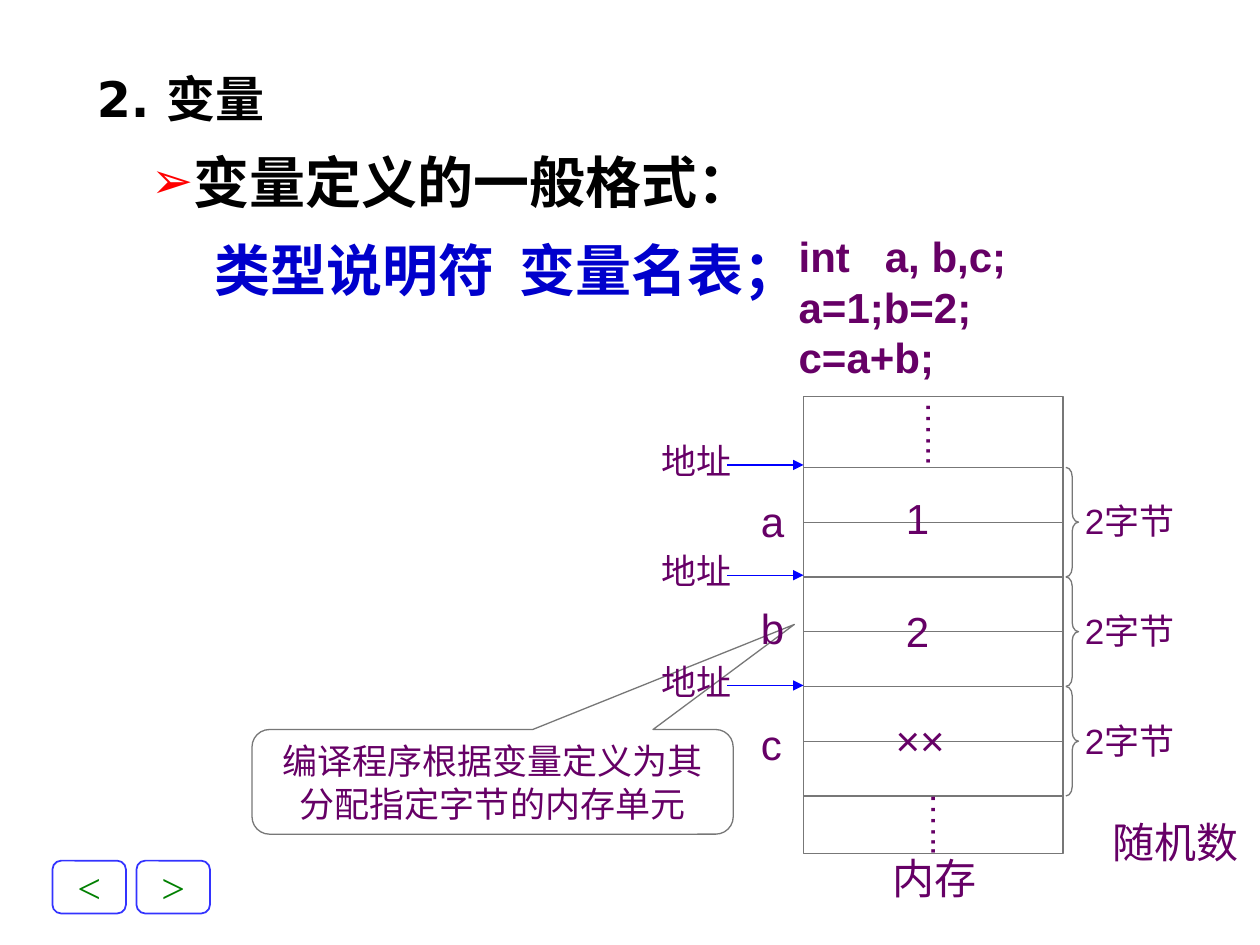
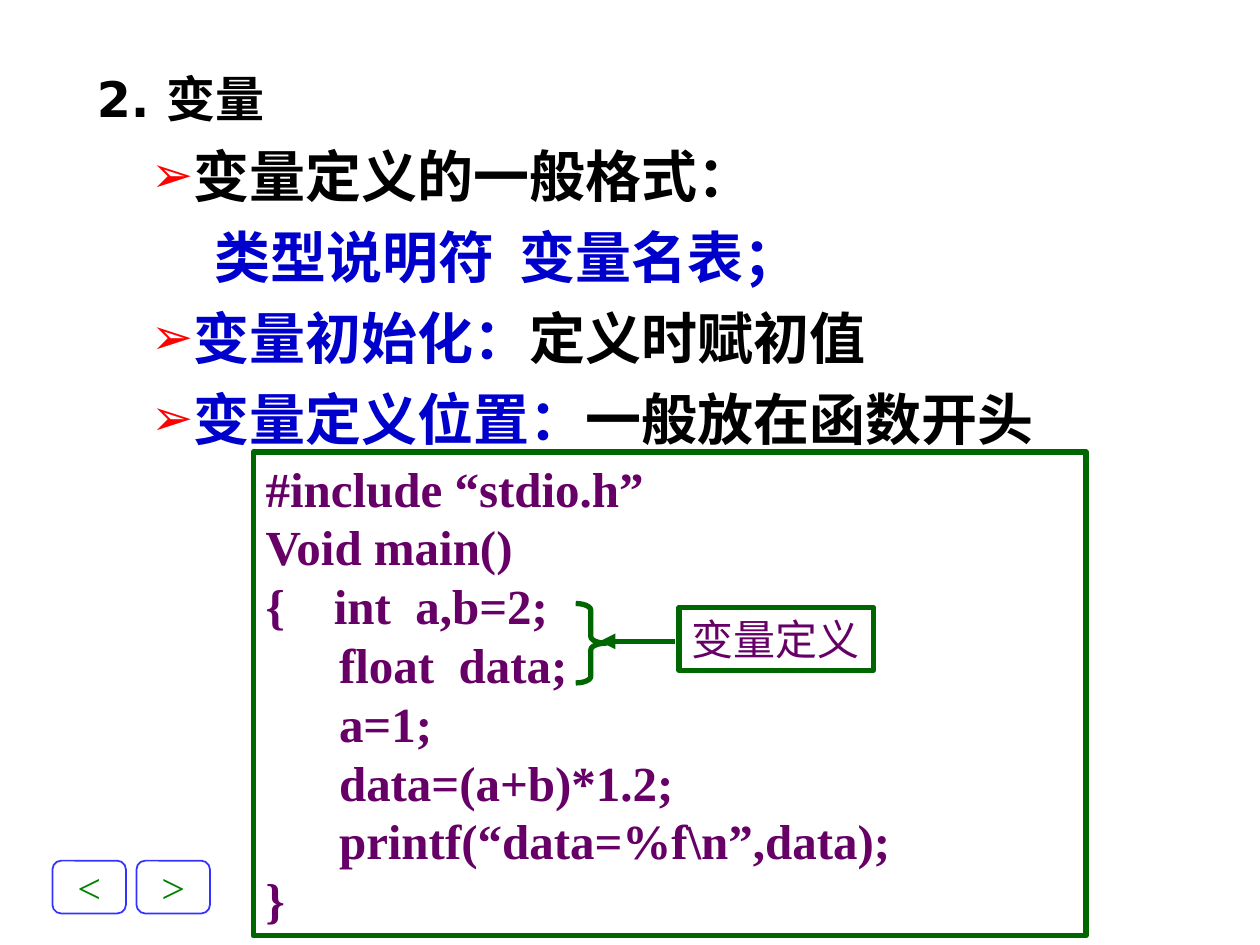
"""Build two slides on variable definitions in C."""
from lxml import etree
from pptx import Presentation
from pptx.dml.color import RGBColor
from pptx.enum import shapes, text
from pptx.oxml import ns
from pptx.util import Pt

HUES = {"ink": "000000", "blue": "0000CC", "red": "FF0000", "plum": "660066", "gray": "777777",
        "arrow": "0000FF", "edge": "3333FF", "sign": "008000", "green": "006600", "white": "FFFFFF"}
RGB = {name: RGBColor.from_string(code) for name, code in HUES.items()}
FORM = shapes.MSO_SHAPE
LEFT, MID = text.PP_ALIGN.LEFT, text.PP_ALIGN.CENTER


def box(page, kind, at, words=(), size=24, face="Arial", hue="plum", bold=False, align=LEFT,
        fill=None, edge=None, width=0.75, wrap=False, grow=True, lead=None, adj=()):
    spot = [Pt(n) for n in at]
    if kind is None:
        item = page.shapes.add_textbox(*spot)
    else:
        item = page.shapes.add_shape(kind, *spot)
        item.shadow.inherit = False
        for i, value in enumerate(adj):
            item.adjustments[i] = value
        if fill:
            item.fill.solid()
            item.fill.fore_color.rgb = RGB[fill]
        else:
            item.fill.background()
        item.line.color.rgb = RGB[edge]
        item.line.width = Pt(width)
    frame = item.text_frame
    frame.word_wrap = wrap
    if words:
        fit = text.MSO_AUTO_SIZE
        frame.auto_size = fit.SHAPE_TO_FIT_TEXT if grow else fit.NONE
        frame.vertical_anchor = text.MSO_ANCHOR.MIDDLE if align == MID else text.MSO_ANCHOR.TOP
    for i, line in enumerate(words):
        para = frame.add_paragraph() if i else frame.paragraphs[0]
        para.alignment = align
        if lead:
            para.line_spacing = Pt(lead)
        run = para.add_run()
        run.text = line
        run.font.name, run.font.size, run.font.bold = face, Pt(size), bold
        run.font.color.rgb = RGB[hue]
    return item


def link(page, x, y, end, hue, width=0.75, head=False):
    line = page.shapes.add_connector(shapes.MSO_CONNECTOR.STRAIGHT, Pt(x), Pt(y), Pt(end), Pt(y))
    line.line.color.rgb = RGB[hue]
    line.line.width = Pt(width)
    if head:
        etree.SubElement(line.line._get_or_add_ln(), ns.qn("a:tailEnd"), type="triangle")
    etree.SubElement(line._element.spPr, ns.qn("a:effectLst"))


deck = Presentation()
deck.slide_width, deck.slide_height = Pt(720), Pt(540)

form = [(1, [("变量定义的一般格式：", "ink")]), (2, [("类型说明符  变量名表；", "blue")])]
more = [(1, [("变量初始化：", "blue"), ("定义时赋初值", "ink")]),
        (1, [("变量定义位置：", "blue"), ("一般放在函数开头", "ink")])]
pages = []
for rows, wide, high, space in [(form, 577.4, 102.2, 1.1), (form + more, 676.8, 181.4, 1.0)]:
    page = deck.slides.add_slide(deck.slide_layouts[1])
    pages.append(page)

    title = page.shapes.title
    title.left, title.top, title.width, title.height = Pt(48.2), Pt(32), Pt(170), Pt(45.4)
    title.text_frame.vertical_anchor = text.MSO_ANCHOR.TOP
    title.text_frame.auto_size = text.MSO_AUTO_SIZE.NONE
    para = title.text_frame.paragraphs[0]
    para.alignment, para.line_spacing, para.space_before = LEFT, 1.1, Pt(0)
    run = para.add_run()
    run.text = "2. 变量"
    run.font.name, run.font.size, run.font.bold = "DejaVu Sans", Pt(28), True
    run.font.color.rgb = RGB["ink"]

    body = page.placeholders[1]
    body.left, body.top, body.width, body.height = Pt(43.2), Pt(77), Pt(wide), Pt(high)
    frame = body.text_frame
    frame.auto_size = text.MSO_AUTO_SIZE.NONE
    for i, (level, parts) in enumerate(rows):
        para = frame.add_paragraph() if i else frame.paragraphs[0]
        para.level = level
        prop = para._p.get_or_add_pPr()
        margin, hang = (58.3, -22.3) if level == 1 else (90, -18)
        prop.set("marL", str(Pt(margin)))
        prop.set("indent", str(Pt(hang)))
        if level == 1:
            tint = etree.SubElement(prop, ns.qn("a:buClr"))
            etree.SubElement(tint, ns.qn("a:srgbClr"), val=HUES["red"])
            etree.SubElement(prop, ns.qn("a:buSzPct"), val="90000")
            etree.SubElement(prop, ns.qn("a:buChar"), char="➢")
        else:
            etree.SubElement(prop, ns.qn("a:buNone"))
        para.alignment, para.line_spacing, para.space_before = LEFT, space, Pt(8 if i else 0)
        for words, hue in parts:
            run = para.add_run()
            run.text = words
            run.font.name, run.font.size, run.font.bold = "DejaVu Sans", Pt(32), True
            run.font.color.rgb = RGB[hue]

    for x, sign in [(30, "<"), (78, ">")]:
        box(page, FORM.ROUNDED_RECTANGLE, (x, 491.8, 42, 30.2), [sign], face="Times New Roman",
            hue="sign", align=MID, edge="edge", width=1, grow=False)

page = pages[0]
box(page, FORM.ROUNDED_RECTANGULAR_CALLOUT, (144, 416.9, 275, 59.8),
    ["编译程序根据变量定义为其", "分配指定字节的内存单元"], size=20, align=MID, fill="white",
    edge="gray", lead=24.5, adj=(0.627, -1.504, 0.167))

left, right, top, step = 459.2, 607.5, 267.1, 31.3
box(page, FORM.RECTANGLE, (left, 226.8, right - left, 261), fill="white", edge="gray")
for i in range(7):
    link(page, left, top + i * step, right, "gray")
for x, y in [(514.8, 222.4), (517.7, 445.6)]:
    dots = box(page, None, (x, y, 38.2, 43.9), ["…..."], size=20)
    frame = dots.text_frame
    frame._txBody.bodyPr.set("vert", "eaVert")
    frame.margin_left = frame.margin_right = Pt(3.6)
    frame.margin_top = frame.margin_bottom = Pt(7.2)

box(page, None, (449.3, 128.2, 147.6, 93.6), ["int   a, b,c;", "a=1;b=2;", "c=a+b;"],
    bold=True, wrap=True, lead=28.85)
cells = [("a", 279.4, 27.8, "1", 510.5, 278, 27.8), ("b", 340.6, 27.8, "2", 510.5, 342.7, 27.8),
         ("c", 406.8, 26.5, "××", 504.7, 404.6, 52.6)]
for i, (name, y, wide, value, x, drop, span) in enumerate(cells):
    link(page, 415.4, 265.7 + i * 63, left, "arrow", head=True)
    box(page, None, (370.8, 247.7 + i * 63, 57, 31.7), ["地址"], size=20)
    box(page, None, (427.7, y, wide, 36), [name])
    box(page, None, (x, drop, span, 36), [value])
    box(page, FORM.RIGHT_BRACE, (609.1, top + i * 2 * step, 7.2, 2 * step), edge="gray",
        adj=(0.73, 0.5))
    box(page, None, (612.9, 281.7 + i * 63, 72, 31.7), ["2字节"], size=20)
box(page, None, (503, 483.5, 66, 36), ["内存"])
box(page, None, (628.6, 463, 91.4, 36), ["随机数"], wrap=True)

page = pages[1]
code = ["#include “stdio.h”", "Void main()", "{    int  a,b=2;", "      float  data;", "      a=1;",
        "      data=(a+b)*1.2;", "      printf(“data=%f\\n”,data);", "}"]
box(page, FORM.RECTANGLE, (144.7, 258.3, 475.9, 276.5), code, size=28, face="Times New Roman",
    bold=True, fill="white", edge="green", width=3, wrap=True, lead=33.6)
link(page, 385.9, 366.5, 342.7, "green", width=3, head=True)
box(page, FORM.RECTANGLE, (388.1, 347, 111, 36), ["变量定义"], edge="green", width=3)
box(page, FORM.RIGHT_BRACE, (329, 344.9, 17.3, 45.4), edge="green", width=3, adj=(0.22, 0.5))

deck.save("out.pptx")
